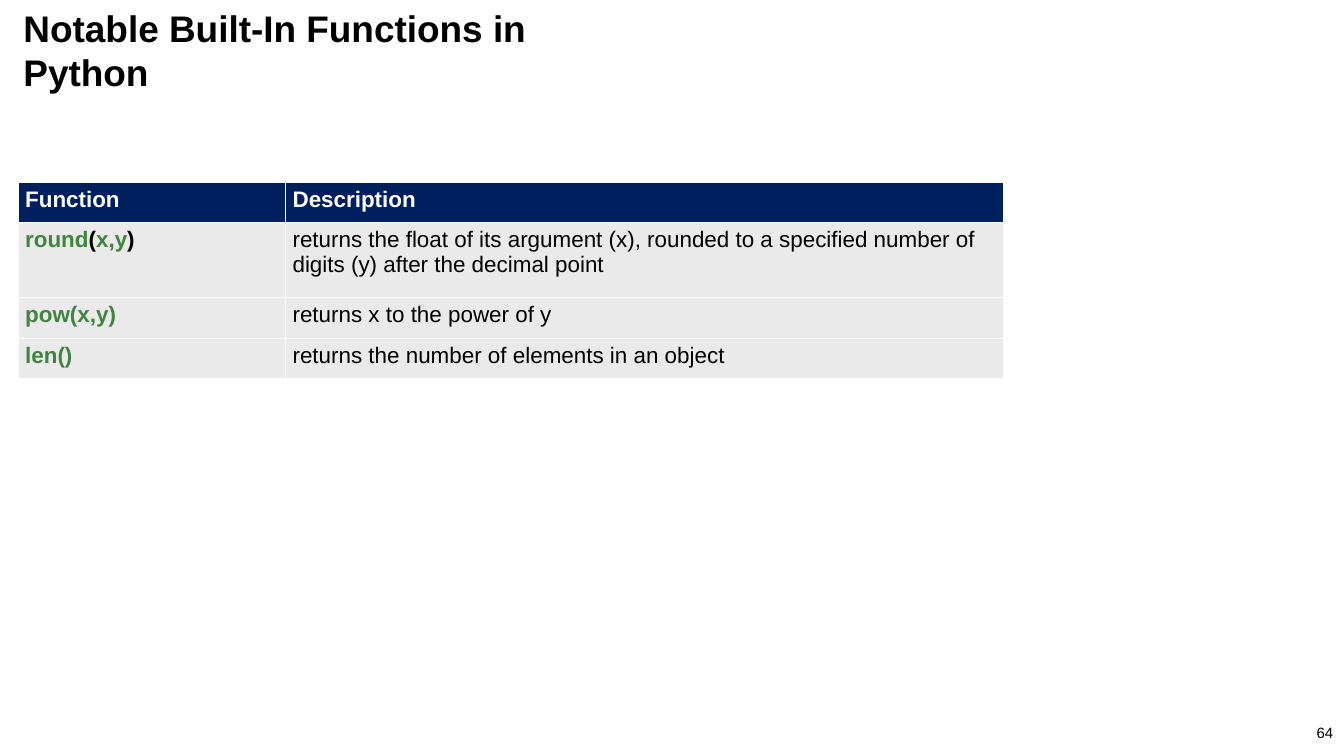
from lxml import etree
from pptx import Presentation
from pptx import util as u
from pptx.dml.color import RGBColor
from pptx.enum import text
from pptx.oxml import ns

PX = 9525
FONT = "Arial"
BLACK, WHITE, NAVY, GRAY, GREEN = "000000", "FFFFFF", "001F5F", "EAEAEA", "408440"

COLUMNS = [382, 1025]
ROWS = [
    (58, [("Function", WHITE)], "Description"),
    (107, [("round", GREEN), ("(", BLACK), ("x,y", GREEN), (")", BLACK)],
     "returns the float of its argument (x), rounded to a specified number of "
     "digits (y) after the decimal point"),
    (58, [("pow(x,y)", GREEN)], "returns x to the power of y"),
    (58, [("len()", GREEN)], "returns the number of elements in an object"),
]


def px(length):
    return u.Emu(length * PX)


def color(value):
    return RGBColor.from_string(value)


def write(para, spans, size, bold=False):
    para.font.name = FONT
    para.font.size = u.Pt(size)
    para.font.bold = bold
    for words, shade in spans:
        span = para.add_run()
        span.text = words
        span.font.color.rgb = color(shade)


def add_text(page, bounds, words, size, bold=False, align=text.PP_ALIGN.LEFT):
    frame = page.shapes.add_textbox(*map(px, bounds)).text_frame
    frame.word_wrap = True
    frame.vertical_anchor = text.MSO_ANCHOR.MIDDLE
    para = frame.paragraphs[0]
    para.alignment = align
    write(para, [(words, BLACK)], size, bold)


def add_borders(cell, widths):
    properties = cell._tc.get_or_add_tcPr()
    for index, (side, width) in enumerate(widths.items()):
        line = etree.Element(ns.qn(f"a:ln{side}"), w=str(u.Pt(width)))
        fill = etree.SubElement(line, ns.qn("a:solidFill"))
        etree.SubElement(fill, ns.qn("a:srgbClr"), val=WHITE)
        properties.insert(index, line)


def fill_cell(cell, spans, bold, fill, top, bottom):
    cell.margin_left, cell.margin_top = px(10), px(7)
    cell.margin_right = cell.margin_bottom = 0
    cell.fill.solid()
    cell.fill.fore_color.rgb = color(fill)
    add_borders(cell, {"L": 1, "R": 1, "T": top, "B": bottom})
    write(cell.text_frame.paragraphs[0], spans, 24, bold)


def add_function_table(page):
    heights = [height for height, _, _ in ROWS]
    frame = page.shapes.add_table(len(ROWS), len(COLUMNS), px(26), px(260),
                                  px(sum(COLUMNS)), px(sum(heights)))
    table = frame.table
    for column, width in zip(table.columns, COLUMNS):
        column.width = px(width)
    for index, (height, function, description) in enumerate(ROWS):
        table.rows[index].height = px(height)
        header = index == 0
        fill = NAVY if header else GRAY
        top = 1.5 if index == 1 else 1
        bottom = 1.5 if header else 1
        words = [(description, WHITE if header else BLACK)]
        fill_cell(table.cell(index, 0), function, True, fill, top, bottom)
        fill_cell(table.cell(index, 1), words, header, fill, top, bottom)


def main():
    deck = Presentation()
    deck.slide_width, deck.slide_height = px(1920), px(1080)
    page = deck.slides.add_slide(deck.slide_layouts[6])
    add_text(page, (24, 11, 864, 120), "Notable Built-In Functions in Python", 39.6, bold=True)
    add_function_table(page)
    add_text(page, (1690, 1028, 224, 38), "64", 16, align=text.PP_ALIGN.RIGHT)
    deck.save("out.pptx")


if __name__ == "__main__":
    main()
